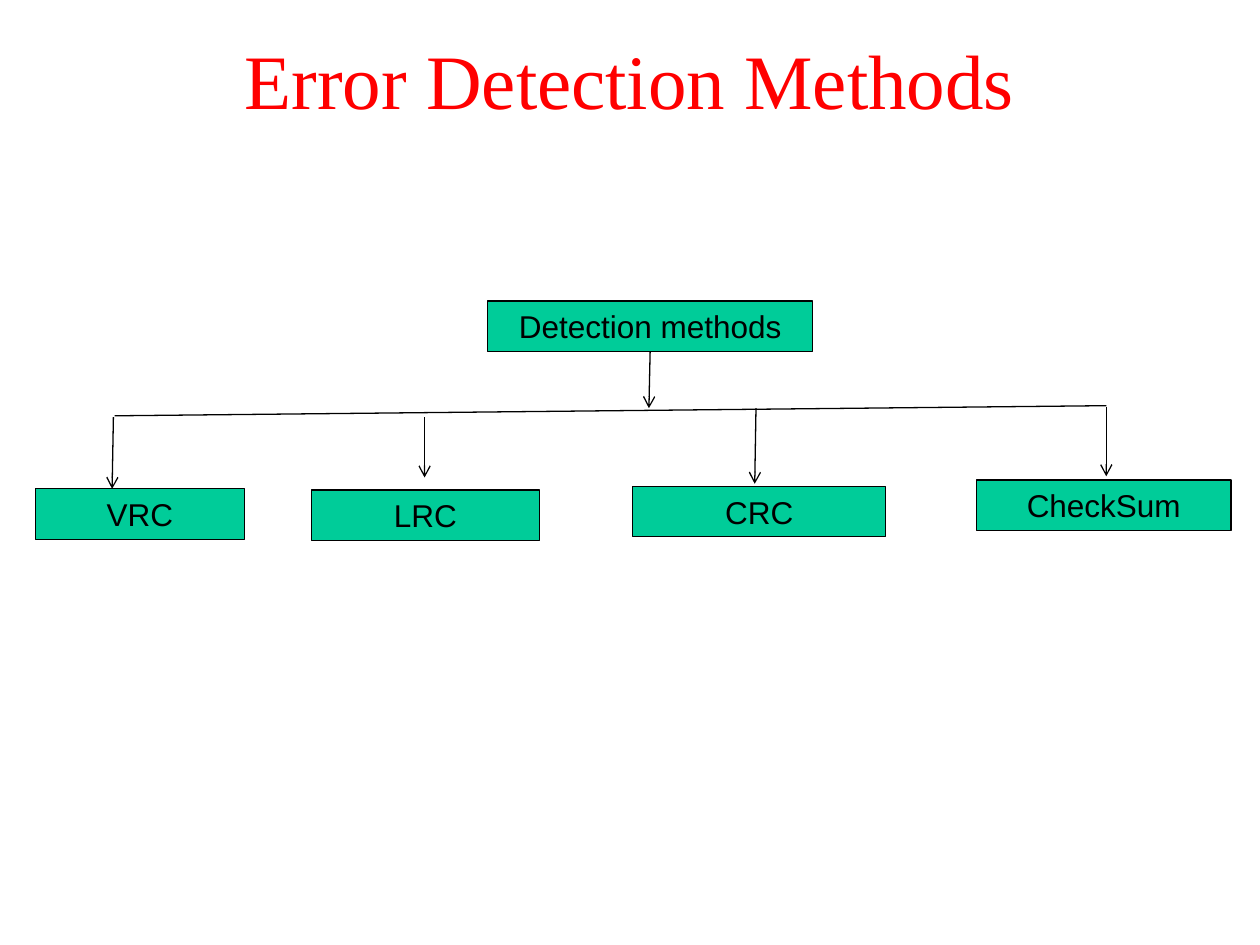
from lxml.etree import SubElement
from pptx import Presentation
from pptx.dml.color import RGBColor
from pptx.enum.shapes import MSO_CONNECTOR, MSO_SHAPE
from pptx.enum.text import MSO_ANCHOR, PP_ALIGN
from pptx.oxml.ns import qn
from pptx.util import Inches, Pt

# Grid of 100 columns by 75 rows
CELL = Inches(0.1)
BOX_H = 4
BLACK, RED, GREEN = "000000", "FF0000", "00CC99"

# Name, box (column, row, width), arrow start and end
LEAVES = [
    ("VRC", (2.8, 38.8, 16.6), (9, 33.1), (8.9, 38.8)),
    ("LRC", (24.7, 38.9, 18.1), (33.7, 33.1), (33.7, 37.9)),
    ("CRC", (50.2, 38.6, 20.1), (60, 32.4), (59.9, 38.4)),
    ("CheckSum", (77.5, 38.1, 20.2), (87.8, 32.3), (87.8, 37.8)),
]


def grid(*cells):
    return [round(n * CELL) for n in cells]


def paint(part, color):
    part.rgb = RGBColor.from_string(color)


def write(shape, text, font, size, color):
    frame = shape.text_frame
    frame.word_wrap = True
    frame.vertical_anchor = MSO_ANCHOR.MIDDLE
    para = frame.paragraphs[0]
    para.text = text
    para.alignment = PP_ALIGN.CENTER
    para.font.name = font
    para.font.size = Pt(size)
    paint(para.font.color, color)


def add_box(slide, text, col, row, width):
    box = slide.shapes.add_shape(
        MSO_SHAPE.RECTANGLE, *grid(col, row, width, BOX_H))
    box.shadow.inherit = False
    box.fill.solid()
    paint(box.fill.fore_color, GREEN)
    paint(box.line.color, BLACK)
    box.line.width = Pt(0.75)
    write(box, text, "Arial", 18, BLACK)
    return box


def add_line(slide, start, end, arrow=True):
    line = slide.shapes.add_connector(
        MSO_CONNECTOR.STRAIGHT, *grid(*start, *end))
    paint(line.line.color, BLACK)
    line.line.width = Pt(0.75)
    if arrow:
        SubElement(line.line._get_or_add_ln(), qn("a:tailEnd"), type="arrow")
    SubElement(line._element.spPr, qn("a:effectLst"))
    return line


def main():
    deck = Presentation()
    deck.slide_width, deck.slide_height = grid(100, 75)
    slide = deck.slides.add_slide(deck.slide_layouts[6])

    # Title
    title = slide.shapes.add_textbox(*grid(0, 0, 100, 12.5))
    write(title, "Error Detection Methods", "Times New Roman", 44, RED)

    # Root with its arrow
    root = add_box(slide, "Detection methods", 38.7, 23.9, 25.8)
    stem = add_line(slide, (51.6, 27.9), (51.5, 32.4))
    stem.begin_connect(root, 2)

    # Branch line and the methods below it
    add_line(slide, (9.1, 33), (87.8, 32.2), arrow=False)
    for name, place, start, end in LEAVES:
        add_line(slide, start, end)
        add_box(slide, name, *place)

    deck.save("out.pptx")


if __name__ == "__main__":
    main()
